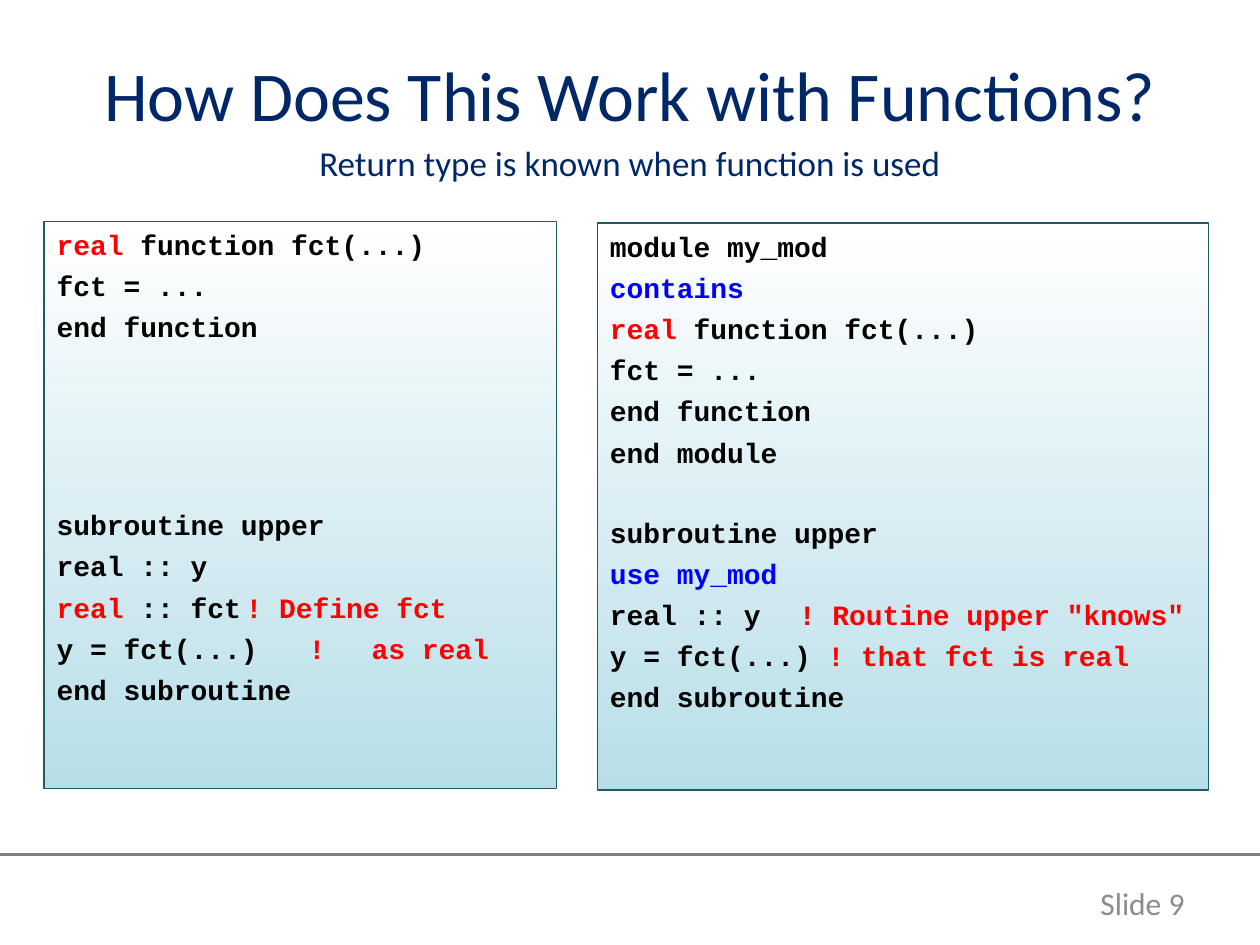
"""Build a slide comparing two ways to give a Fortran function its type."""
from lxml import etree
from pptx import Presentation
from pptx.dml.color import RGBColor
from pptx.enum.shapes import MSO_CONNECTOR
from pptx.enum.text import MSO_ANCHOR, MSO_AUTO_SIZE, PP_ALIGN
from pptx.oxml.ns import qn
from pptx.util import Pt

LEFT, MID, RIGHT = PP_ALIGN.LEFT, PP_ALIGN.CENTER, PP_ALIGN.RIGHT
TOP, CENTER = MSO_ANCHOR.TOP, MSO_ANCHOR.MIDDLE
FIXED = MSO_AUTO_SIZE.NONE
LINE = MSO_CONNECTOR.STRAIGHT

COLORS = {"navy": "002868", "ink": "000000", "red": "FF0000", "blue": "0000FF",
          "gray": "8C8C8C", "rule": "808080", "edge": "215968",
          "aqua": "B7DEE8", "white": "FFFFFF"}

TITLE = "How Does This Work with Functions?"
LEAD = "Return type is known when function is used"
NUMBER = "Slide 9"
REAL = ("real ", "red")
HEAD = [[REAL, ("function fct(...)", "ink")],
        [("fct = ...", "ink")],
        [("end function", "ink")]]
UPPER = [("subroutine upper", "ink")]
END = [("end subroutine", "ink")]

PANELS = [
    {"slot": 2, "box": (25.2, 126.5, 293, 324), "tabs": (17, 22),
     "gap": 4, "first": HEAD,
     "second": [UPPER,
                [("real :: y", "ink")],
                [REAL, (":: fct\t", "ink"), ("! Define fct", "red")],
                [("y = fct(...)\t", "ink"), ("!\tas real", "red")],
                END]},
    {"slot": 4, "box": (341.3, 127.5, 349.2, 324), "tabs": (11,),
     "gap": 1,
     "first": [[("module my_mod", "ink")],
               [("contains", "blue")],
               *HEAD,
               [("end module", "ink")]],
     "second": [UPPER,
                [("use my_mod", "blue")],
                [("real :: y\t", "ink"), ('! Routine upper "knows"', "red")],
                [("y = fct(...) ", "ink"), ("! that fct is real", "red")],
                END]},
]

SPACE, PITCH, CHAR = 4.3, 22.4, 9.6
PLAIN = {"name": "Calibri", "bold": False}
CODE = {"name": "Courier New", "size": Pt(16), "bold": True}


def color(key):
    return RGBColor.from_string(COLORS[key])


def apply(item, values):
    for name, value in values.items():
        setattr(item, name, value)


def place(shape, box):
    apply(shape, dict(zip(("left", "top", "width", "height"), map(Pt, box))))


def write(par, parts, style):
    for text, key in parts:
        run = par.add_run()
        run.text = text
        apply(run.font, style)
        run.font.color.rgb = color(key)


def flatten(par, tabs=()):
    props = par._p.get_or_add_pPr()
    props.set("marL", "0")
    props.set("indent", "0")
    etree.SubElement(props, qn("a:buNone"))
    if tabs:
        stops = etree.SubElement(props, qn("a:tabLst"))
        for col in tabs:
            etree.SubElement(stops, qn("a:tab"), pos=str(Pt(col * CHAR)), algn="l")


def label(shape, box, text, size, key, align, anchor, before=0):
    place(shape, box)
    apply(shape.text_frame, {"word_wrap": True, "auto_size": FIXED,
                             "vertical_anchor": anchor})
    par = shape.text_frame.paragraphs[0]
    apply(par, {"alignment": align, "space_before": Pt(before)})
    flatten(par)
    write(par, [(text, key)], {**PLAIN, "size": Pt(size)})


def panel(shape, data):
    place(shape, data["box"])
    shape.fill.gradient()
    shape.fill.gradient_angle = 90
    for stop, key, pos in zip(shape.fill.gradient_stops, ("aqua", "white"), (0, 1)):
        stop.color.rgb = color(key)
        stop.position = pos
    shape.line.color.rgb = color("edge")
    shape.line.width = Pt(0.75)
    frame = shape.text_frame
    apply(frame, {"word_wrap": True, "auto_size": FIXED, "vertical_anchor": TOP})
    for row, parts in enumerate(data["first"] + data["second"]):
        par = frame.add_paragraph() if row else frame.paragraphs[0]
        skip = data["gap"] if row == len(data["first"]) else 0
        apply(par, {"alignment": LEFT, "space_before": Pt(SPACE + skip * PITCH)})
        flatten(par, data["tabs"])
        write(par, parts, CODE)


deck = Presentation()
apply(deck, {"slide_width": Pt(720), "slide_height": Pt(540)})
slide = deck.slides.add_slide(deck.slide_layouts[4])
slots = {shape.placeholder_format.idx: shape for shape in slide.placeholders}

rule = slide.shapes.add_connector(LINE, Pt(0), Pt(488.4), Pt(720), Pt(488.4))
rule.line.color.rgb = color("rule")
rule.line.width = Pt(2)
etree.SubElement(rule._element.spPr, qn("a:effectLst"))

label(slots[0], (36, 21.6, 648, 63.4), TITLE, 40, "navy", MID, CENTER)
label(slots[1], (36, 77, 648, 35.3), LEAD, 20, "navy", MID, TOP, 4.8)
for data in PANELS:
    panel(slots[data["slot"]], data)
spare = slots[3]._element
spare.getparent().remove(spare)

page = slide.shapes.add_textbox(Pt(605.5), Pt(501.8), Pt(78.5), Pt(28.8))
label(page, (605.5, 501.8, 78.5, 28.8), NUMBER, 18, "gray", RIGHT, CENTER)

deck.save("out.pptx")
